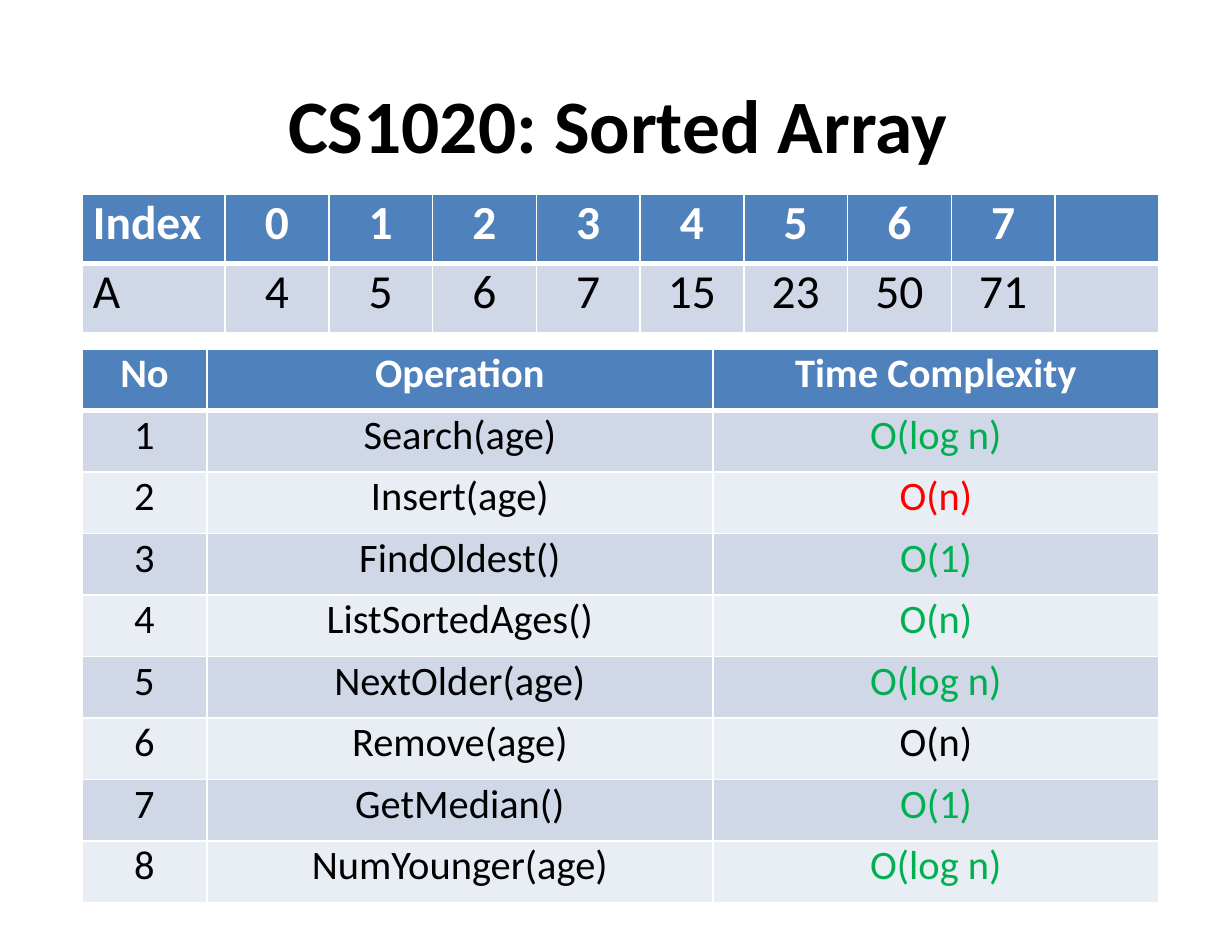
from dataclasses import dataclass

from lxml.etree import SubElement
from pptx import Presentation
from pptx.dml.color import RGBColor
from pptx.enum.text import MSO_ANCHOR, MSO_AUTO_SIZE, PP_ALIGN
from pptx.oxml.ns import qn
from pptx.util import Emu, Pt

PX_PER_INCH = 112
FONT = "Calibri"
COLORS = {
    "text": "000000",
    "white": "FFFFFF",
    "header": "4F81BD",
    "odd": "D0D8E8",
    "even": "E9EDF4",
    "good": "00B050",
    "bad": "FF0000",
}
LEFT, WIDTH = 82, 1077
THIN, THICK = 1.1, 3.3


@dataclass
class TableSpec:
    top: int
    height: int
    col_widths: list[float]
    size: float
    header_gap: float
    body_gap: float
    rows: list[list[str]]
    colors: dict[tuple[int, int], str]
    left_columns: int = 0


def px(value: float) -> Emu:
    return Emu(round(value * 914400 / PX_PER_INCH))


def rgb(name: str) -> RGBColor:
    return RGBColor.from_string(COLORS[name])


def style_runs(p, size: float, color: str, bold: bool) -> None:
    for r in p.runs:
        r.font.name = FONT
        r.font.size = Pt(size)
        r.font.bold = bold
        r.font.color.rgb = rgb(color)


def set_borders(cell, top: float, bottom: float) -> None:
    """Add white borders; call before filling, as lines precede the fill."""
    tc_pr = cell._tc.get_or_add_tcPr()
    for side, width in (("L", THIN), ("R", THIN), ("T", top), ("B", bottom)):
        ln = SubElement(tc_pr, qn(f"a:ln{side}"), w=str(Pt(width)))
        fill = SubElement(ln, qn("a:solidFill"))
        SubElement(fill, qn("a:srgbClr"), val=COLORS["white"])


def draw_title(slide, text: str) -> None:
    sp = slide.shapes.title
    sp.left, sp.top, sp.width, sp.height = px(73), px(37), px(1088), px(178)
    tf = sp.text_frame
    tf.text = text
    tf.auto_size = MSO_AUTO_SIZE.NONE
    tf.vertical_anchor = MSO_ANCHOR.TOP
    tf.margin_left, tf.margin_top = px(215), px(41)
    tf.margin_right = tf.margin_bottom = 0
    p = tf.paragraphs[0]
    p.alignment = PP_ALIGN.LEFT
    style_runs(p, 48.5, "text", True)


def draw_cell(cell, spec: TableSpec, row: int, col: int) -> None:
    is_header = row == 0
    set_borders(cell, THICK if row == 1 else THIN, THICK if is_header else THIN)
    cell.fill.solid()
    band = "header" if is_header else "odd" if row % 2 else "even"
    cell.fill.fore_color.rgb = rgb(band)
    cell.margin_left = cell.margin_right = cell.margin_top = cell.margin_bottom = 0

    cell.text_frame.text = spec.rows[row][col]
    p = cell.text_frame.paragraphs[0]
    p.space_before = Pt(spec.header_gap if is_header else spec.body_gap)
    if col < spec.left_columns:
        p.alignment = PP_ALIGN.LEFT
        cell.margin_left = px(11)
    else:
        p.alignment = PP_ALIGN.CENTER
    color = "white" if is_header else spec.colors.get((row, col), "text")
    style_runs(p, spec.size, color, is_header)


def draw_table(slide, spec: TableSpec) -> None:
    n_rows, n_cols = len(spec.rows), len(spec.col_widths)
    table = slide.shapes.add_table(
        n_rows, n_cols, px(LEFT), px(spec.top), px(WIDTH), px(spec.height)
    ).table
    for column, width in zip(table.columns, spec.col_widths):
        column.width = px(width)
    for i, row in enumerate(table.rows):
        row.height = px(spec.height / n_rows)
        for j, cell in enumerate(row.cells):
            draw_cell(cell, spec, i, j)


def main() -> None:
    prs = Presentation()
    prs.slide_width, prs.slide_height = px(1232), px(952)
    slide = prs.slides.add_slide(prs.slide_layouts[5])
    draw_title(slide, "CS1020: Sorted Array")

    values = [4, 5, 6, 7, 15, 23, 50, 71]
    label_width = 143
    slots = len(values) + 1
    draw_table(slide, TableSpec(
        top=194, height=139,
        col_widths=[label_width] + [(WIDTH - label_width) / slots] * slots,
        size=30.5, header_gap=1.8, body_gap=0.7,
        rows=[
            ["Index", *map(str, range(len(values))), ""],
            ["A", *map(str, values), ""],
        ],
        colors={}, left_columns=1,
    ))

    operations = [
        ("Search(age)", "O(log n)", "good"),
        ("Insert(age)", "O(n)", "bad"),
        ("FindOldest()", "O(1)", "good"),
        ("ListSortedAges()", "O(n)", "good"),
        ("NextOlder(age)", "O(log n)", "good"),
        ("Remove(age)", "O(n)", "text"),
        ("GetMedian()", "O(1)", "good"),
        ("NumYounger(age)", "O(log n)", "good"),
    ]
    numbered = list(enumerate(operations, start=1))
    draw_table(slide, TableSpec(
        top=349, height=554, col_widths=[125, 506, 446],
        size=26, header_gap=2.1, body_gap=1.8,
        rows=[["No", "Operation", "Time Complexity"]]
        + [[str(no), name, cost] for no, (name, cost, _) in numbered],
        colors={(no, 2): color for no, (_, _, color) in numbered},
    ))
    prs.save("out.pptx")


if __name__ == "__main__":
    main()
